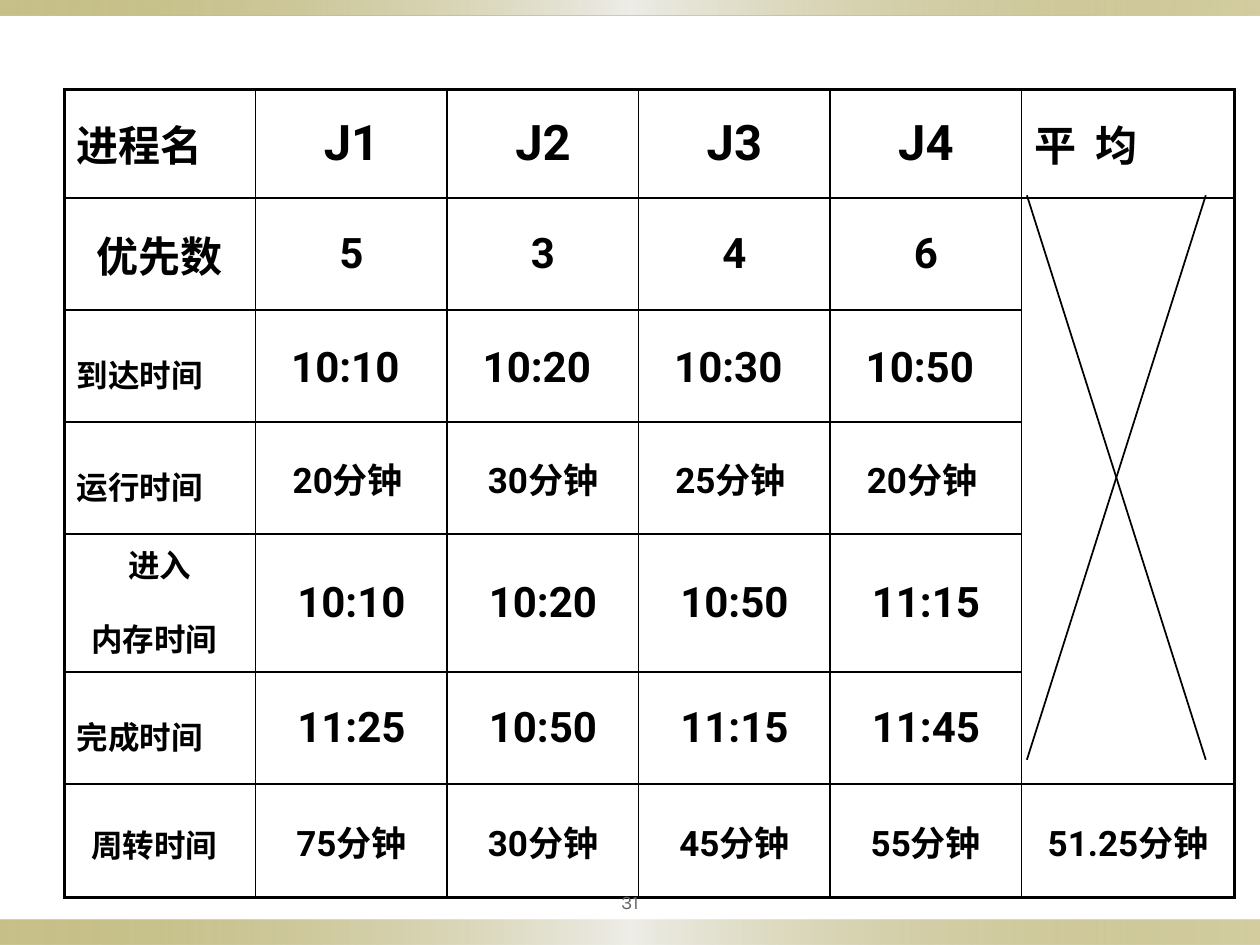
from lxml import etree
from pptx import Presentation
from pptx.dml.color import RGBColor
from pptx.enum.shapes import MSO_CONNECTOR, MSO_SHAPE
from pptx.enum.text import MSO_ANCHOR, PP_ALIGN
from pptx.oxml import parse_xml
from pptx.oxml.ns import nsdecls, qn
from pptx.util import Inches, Pt

BLACK = RGBColor(0x00, 0x00, 0x00)
GRAY = RGBColor(0x63, 0x63, 0x63)
OLIVE = RGBColor(0x91, 0x84, 0x15)
PALE = RGBColor(0xEE, 0xED, 0xE8)
LEFT, CENTER = PP_ALIGN.LEFT, PP_ALIGN.CENTER
MIDDLE = MSO_ANCHOR.MIDDLE
RECTANGLE = MSO_SHAPE.RECTANGLE
STRAIGHT = MSO_CONNECTOR.STRAIGHT
LATIN_FONT, CHINESE_FONT, NUMBER_FONT = "Roboto", "Noto Sans CJK SC", "Karla"
THIN, THICK = 1, 2.25

COLUMN_WIDTHS = [1.52] * 5 + [1.69]
ROW_HEIGHTS = [0.86, 0.89, 0.89, 0.89, 0.96, 0.89, 0.9]
GAP = (" ", 28)


def line(*runs):
    """One cell holding one paragraph of (text, size) runs."""
    return [list(runs)]


def same_size(size, *texts):
    return [line((text, size)) for text in texts]


def times(*texts):
    return [line((text, 24), GAP) for text in texts]


def minutes(*pairs):
    return [line((number, 20), (unit, 20)) for number, unit in pairs]


SCHEDULE = [
    same_size(24, "进程名") + same_size(28, "J1", "J2", "J3", "J4") + same_size(24, "平  均"),
    same_size(24, "优先数", "5", "3", "4", "6"),
    [line(("到达时间", 18), GAP)] + times("10:10", "10:20", "10:30", "10:50"),
    [line(("运行时间", 18), GAP), line(("20", 20), ("分钟", 20), (" ", 18))]
    + minutes(("30", "分钟"), ("25", "分钟 "), ("20", "分钟 ")),
    [[[("进入", 18)], [("内存时间", 18), GAP]]]
    + same_size(24, "10:10", "10:20", "10:50", "11:15"),
    [line(("完成时间", 18), GAP)] + same_size(24, "11:25", "10:50", "11:15", "11:45"),
    [line(("周转时间", 18), GAP)]
    + same_size(20, "75分钟", "30分钟", "45分钟", "55分钟", "51.25分钟"),
]
LEFT_ALIGNED = {(0, 0), (0, 5), (2, 0), (3, 0), (5, 0)}


class SlideBuilder:
    def __init__(self, slide):
        self.slide = slide
        self.shapes = slide.shapes

    def band(self, top, height):
        """A full-width strip, olive at both ends and pale in the middle."""
        strip = self.shapes.add_shape(RECTANGLE, 0, Inches(top), Inches(10), Inches(height))
        strip.shadow.inherit = False
        strip.line.fill.background()
        stops = "".join(
            f'<a:gs pos="{position * 1000}"><a:srgbClr val="{color}">'
            f'<a:alpha val="{alpha * 1000}"/></a:srgbClr></a:gs>'
            for position, color, alpha in [(0, OLIVE, 50), (50, PALE, 100), (100, OLIVE, 40)]
        )
        gradient = parse_xml(
            f'<a:gradFill {nsdecls("a")} rotWithShape="1"><a:gsLst>{stops}</a:gsLst>'
            '<a:lin ang="0" scaled="0"/></a:gradFill>'
        )
        strip.element.spPr.find(qn("a:prstGeom")).addnext(gradient)

    def run(self, paragraph, text, size, font, color, bold):
        run = paragraph.add_run()
        run.text = text
        run.font.size = Pt(size)
        run.font.name = font
        run.font.bold = bold
        run.font.color.rgb = color
        east_asian = etree.SubElement(run.font._element, qn("a:ea"))
        east_asian.set("typeface", CHINESE_FONT)

    def borders(self, cell, widths):
        properties = cell._tc.get_or_add_tcPr()
        for side, width in widths.items():
            properties.append(parse_xml(
                f'<a:ln{side} {nsdecls("a")} w="{int(Pt(width))}"><a:solidFill>'
                f'<a:srgbClr val="{BLACK}"/></a:solidFill></a:ln{side}>'
            ))

    def fill_cell(self, cell, paragraphs, alignment):
        frame = cell.text_frame
        for index, runs in enumerate(paragraphs):
            paragraph = frame.add_paragraph() if index else frame.paragraphs[0]
            paragraph.alignment = alignment
            if index:
                paragraph.space_before = Pt(5)
            for text, size in runs:
                font = LATIN_FONT if text.isascii() or text[0].isdigit() else CHINESE_FONT
                self.run(paragraph, text, size, font, BLACK, True)

    def table(self, left, top, rows):
        last_row, last_column = len(ROW_HEIGHTS) - 1, len(COLUMN_WIDTHS) - 1
        table = self.shapes.add_table(
            last_row + 1, last_column + 1, Inches(left), Inches(top),
            Inches(sum(COLUMN_WIDTHS)), Inches(sum(ROW_HEIGHTS)),
        ).table
        table.first_row = table.horz_banding = False
        for column, width in zip(table.columns, COLUMN_WIDTHS):
            column.width = Inches(width)
        for row, height in zip(table.rows, ROW_HEIGHTS):
            row.height = Inches(height)
        table.cell(1, last_column).merge(table.cell(last_row - 1, last_column))
        for r in range(last_row + 1):
            for c in range(last_column + 1):
                cell = table.cell(r, c)
                self.borders(cell, {
                    "L": THICK if c == 0 else THIN,
                    "R": THICK if c == last_column else THIN,
                    "T": THICK if r == 0 else THIN,
                    "B": THICK if r == last_row else THIN,
                })
                cell.fill.background()
                cell.vertical_anchor = MIDDLE
                if c < len(rows[r]):
                    self.fill_cell(cell, rows[r][c], LEFT if (r, c) in LEFT_ALIGNED else CENTER)
        table.cell(last_row, 0).text_frame.paragraphs[0].line_spacing = 0.8

    def page_number(self, text):
        box = self.shapes.add_textbox(Inches(4.5), Inches(7), Inches(1), Inches(0.31))
        frame = box.text_frame
        frame.word_wrap = True
        frame.vertical_anchor = MIDDLE
        frame.margin_left = frame.margin_right = Inches(0.05)
        frame.paragraphs[0].alignment = CENTER
        self.run(frame.paragraphs[0], text, 11, NUMBER_FONT, GRAY, False)

    def stroke(self, x1, y1, x2, y2):
        stroke = self.shapes.add_connector(STRAIGHT, Inches(x1), Inches(y1), Inches(x2), Inches(y2))
        stroke.line.color.rgb = BLACK
        stroke.line.width = Pt(THIN)
        etree.SubElement(stroke._element.spPr, qn("a:effectLst"))


def main():
    presentation = Presentation()
    presentation.slide_width, presentation.slide_height = Inches(10), Inches(7.5)
    builder = SlideBuilder(presentation.slides.add_slide(presentation.slide_layouts[6]))
    builder.band(7.3, 0.2)
    builder.band(0, 0.12)
    builder.table(0.51, 0.71, SCHEDULE)
    builder.page_number("31")
    for start, end in [(8.15, 9.57), (9.57, 8.15)]:
        builder.stroke(start, 1.55, end, 6.03)
    presentation.save("out.pptx")


if __name__ == "__main__":
    main()
